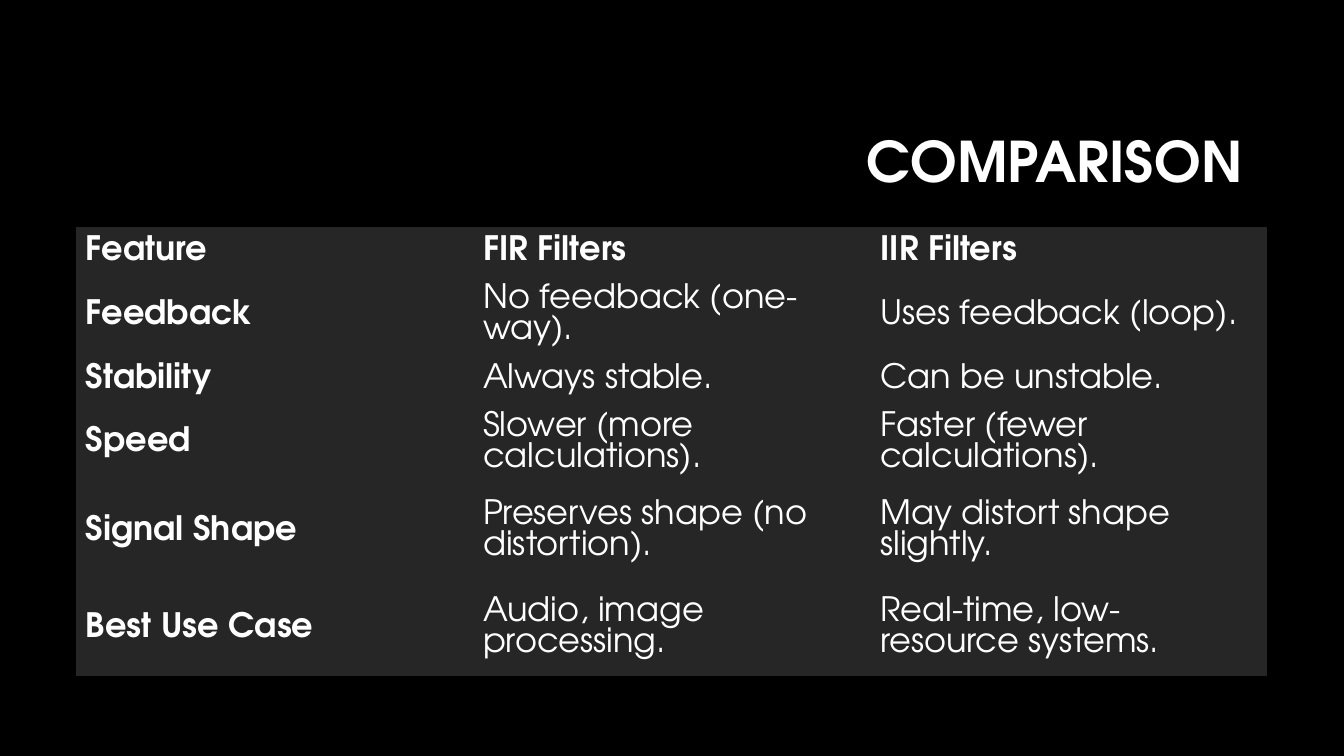
"""Build a slide comparing FIR and IIR filters in a table."""
from pptx import Presentation
from pptx.dml.color import RGBColor
from pptx.enum.text import MSO_ANCHOR, PP_ALIGN
from pptx.util import Cm, Pt

BLACK = RGBColor(0x00, 0x00, 0x00)
WHITE = RGBColor(0xFF, 0xFF, 0xFF)
CHARCOAL = RGBColor(0x26, 0x26, 0x26)
FONT = "TeX Gyre Adventor"
PLAIN_TABLE_STYLE = "{2D5ABB26-0587-4C30-8999-92F81FD0307C}"

COMPARISON = [
    ("Feature", "FIR Filters", "IIR Filters"),
    ("Feedback", "No feedback (one-way).", "Uses feedback (loop)."),
    ("Stability", "Always stable.", "Can be unstable."),
    ("Speed", "Slower (more calculations).", "Faster (fewer calculations)."),
    ("Signal Shape", "Preserves shape (no distortion).", "May distort shape slightly."),
    ("Best Use Case", "Audio, image processing.", "Real-time, low-resource systems."),
]
ROW_HEIGHTS = [1.21, 2.01, 1.21, 2.01, 2.44, 2.44]
COLUMN_WIDTH = 10.01


def format_text(paragraph, size, bold):
    font = paragraph.font
    for name, value in {"name": FONT, "size": Pt(size), "bold": bold}.items():
        setattr(font, name, value)
    font.color.rgb = WHITE


presentation = Presentation()
presentation.slide_width = Cm(33.87)
presentation.slide_height = Cm(19.05)
slide = presentation.slides.add_slide(presentation.slide_layouts[5])
slide.background.fill.solid()
slide.background.fill.fore_color.rgb = BLACK

title = slide.shapes.title
title_place = {"left": 3.33, "top": 2.59, "width": 28.63, "height": 3.12}
for side, length in title_place.items():
    setattr(title, side, Cm(length))
title.text_frame.text = "COMPARISON "
title.text_frame.vertical_anchor = MSO_ANCHOR.MIDDLE
heading = title.text_frame.paragraphs[0]
heading.alignment = PP_ALIGN.RIGHT
heading.line_spacing = 0.9
format_text(heading, 40, True)

filter_frame = slide.shapes.add_table(
    len(COMPARISON), len(COMPARISON[0]),
    Cm(1.91), Cm(5.72), Cm(3 * COLUMN_WIDTH), Cm(sum(ROW_HEIGHTS)))
filters = filter_frame.table
filters.horz_banding = False
filters._tbl.tblPr.find("{*}tableStyleId").text = PLAIN_TABLE_STYLE

for column in filters.columns:
    column.width = Cm(COLUMN_WIDTH)
for row_index, (height, entries) in enumerate(zip(ROW_HEIGHTS, COMPARISON)):
    filters.rows[row_index].height = Cm(height)
    for column_index, entry in enumerate(entries):
        cell = filters.cell(row_index, column_index)
        cell.text = entry
        cell.vertical_anchor = MSO_ANCHOR.MIDDLE
        cell.fill.solid()
        cell.fill.fore_color.rgb = CHARCOAL
        format_text(cell.text_frame.paragraphs[0], 24, row_index == 0 or column_index == 0)

presentation.save("out.pptx")
